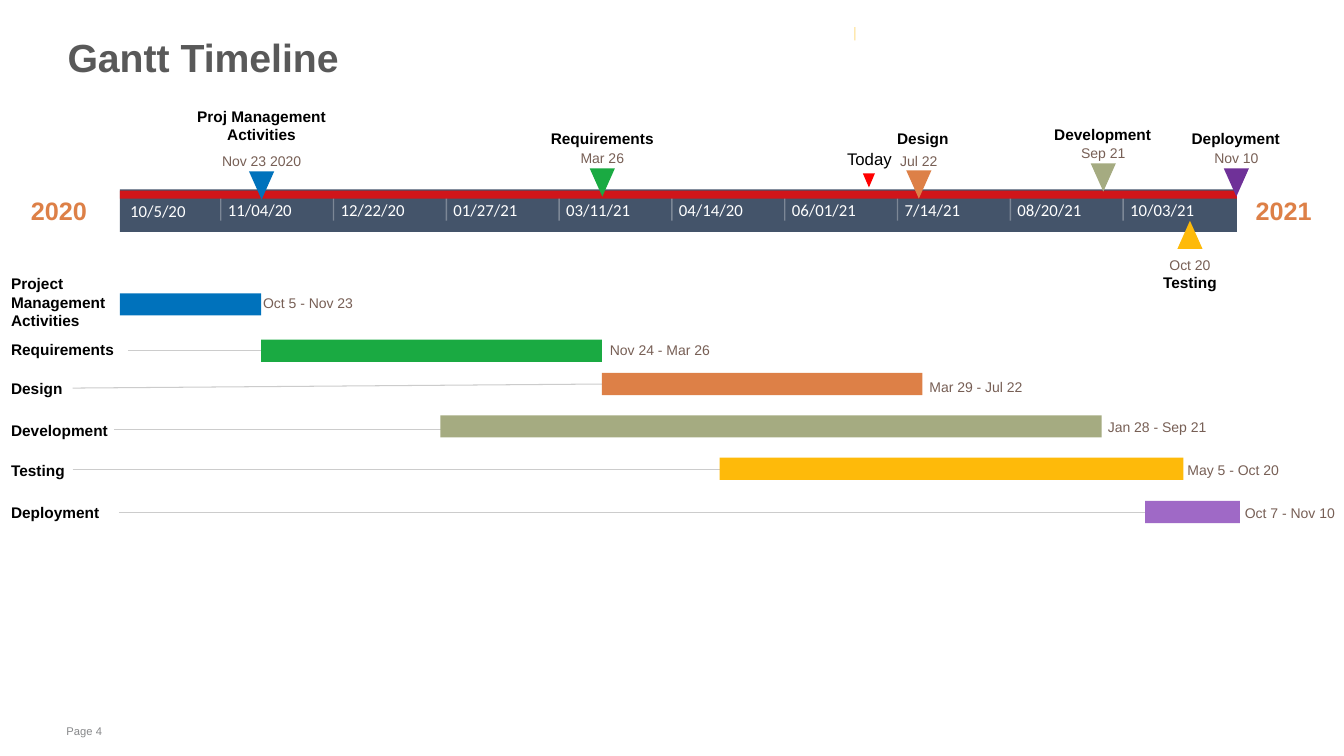
from lxml.etree import SubElement
from pptx import Presentation
from pptx.dml.color import RGBColor
from pptx.enum.shapes import MSO_CONNECTOR, MSO_SHAPE
from pptx.enum.text import MSO_ANCHOR, PP_ALIGN
from pptx.oxml.ns import qn
from pptx.util import Inches, Pt

CELL = Inches(0.1)  # the slide is a grid of square cells
WIDE, HIGH = 133.33, 75

BLACK = RGBColor(0x00, 0x00, 0x00)
WHITE = RGBColor(0xFF, 0xFF, 0xFF)
RED = RGBColor(0xFF, 0x00, 0x00)
SLATE = RGBColor(0x44, 0x54, 0x6A)
BLUE = RGBColor(0x00, 0x72, 0xBC)
GREEN = RGBColor(0x1A, 0xAA, 0x42)
ORANGE = RGBColor(0xDD, 0x80, 0x47)
SAGE = RGBColor(0xA5, 0xAB, 0x81)
YELLOW = RGBColor(0xFE, 0xBA, 0x0A)
PURPLE = RGBColor(0x6F, 0x31, 0x98)
LILAC = RGBColor(0x9F, 0x69, 0xC6)
BROWN = RGBColor(0x77, 0x5F, 0x55)
DARK = RGBColor(0x59, 0x59, 0x59)
GREY = RGBColor(0x87, 0x88, 0x8A)
PALE = RGBColor(0xCC, 0xCC, 0xCC)

LEFT, CENTER = PP_ALIGN.LEFT, PP_ALIGN.CENTER

deck = Presentation()
deck.slide_width, deck.slide_height = int(WIDE * CELL), HIGH * CELL
slide = deck.slides.add_slide(deck.slide_layouts[6])


def draw(kind, x, y, w, h, color):
    """Add a plain filled shape, placed in cells."""
    box = [int(n * CELL) for n in (x, y, w, h)]
    shape = slide.shapes.add_shape(kind, *box)
    shape.shadow.inherit = False
    shape.fill.solid()
    shape.fill.fore_color.rgb = color
    shape.line.fill.background()
    return shape


def write(words, x, y, w, h, size, color, bold=False, align=LEFT, font="Arial"):
    """Add one run of text in a box without margins, placed in cells."""
    box = [int(n * CELL) for n in (x, y, w, h)]
    frame = slide.shapes.add_textbox(*box).text_frame
    frame.word_wrap = True
    frame.vertical_anchor = MSO_ANCHOR.MIDDLE
    frame.margin_left = frame.margin_right = 0
    frame.margin_top = frame.margin_bottom = 0
    para = frame.paragraphs[0]
    para.alignment = align
    run = para.add_run()
    run.text = words
    run.font.name, run.font.size, run.font.bold = font, Pt(size), bold
    run.font.color.rgb = color
    return frame


# Title and page number
title = write("Gantt Timeline", 6.7, 4.4, 62.9, 4.6, 28, DARK, True)
title.vertical_anchor = MSO_ANCHOR.TOP
title.paragraphs[0].line_spacing = 0.75
write("Page 4", 6.6, 71.9, 106, 1.3, 8, GREY)

# Time band with the years at its ends
START, SPAN = 11.9, 110.8
draw(MSO_SHAPE.RECTANGLE, START, 18.8, SPAN, 4.2, SLATE)
done = draw(MSO_SHAPE.RECTANGLE, START, 18.9, SPAN, 0.8, RED)
tint = next(done.fill._xPr.iter(qn("a:srgbClr")))
SubElement(tint, qn("a:alpha")).set("val", "75000")
for year, x in (("2020", 2.8), ("2021", 124.3)):
    write(year, x, 19.4, 6.1, 3, 18, ORANGE, True, CENTER)

# Dates on the band
TICK, STEP = 21.9, 11.19
dates = ["11/04/20", "12/22/20", "01/27/21", "03/11/21", "04/14/20",
         "06/01/21", "7/14/21", "08/20/21", "10/03/21"]
write("10/5/20", 12.9, 19.9, 6.9, 2, 12, WHITE, font="Calibri")
ticks = [TICK + i * STEP for i in range(len(dates))]
for date, x in zip(dates, ticks):
    write(date, x + 0.7, 19.8, 7.5, 2, 12, WHITE, font="Calibri")

# Lines: x1, y1, x2, y2, colour, points, opacity in percent
lines = [
    (11.8, 50.8, 113.6, 50.8, PALE, 0.75, 100),
    (7.2, 46.6, 71.4, 46.6, PALE, 0.75, 100),
    (11.3, 42.6, 46.6, 42.6, PALE, 0.75, 100),
    (7.2, 38.5, 59.7, 38.1, PALE, 0.75, 100),
    (12.7, 34.8, 25.9, 34.8, PALE, 0.75, 100),
    (84.8, 2.7, 84.8, 4, YELLOW, 0.75, 50),
]
lines += [(x, 19.7, x, 21.9, WHITE, 1, 30) for x in ticks]
for *ends, color, points, alpha in lines:
    ends = [int(n * CELL) for n in ends]
    line = slide.shapes.add_connector(MSO_CONNECTOR.STRAIGHT, *ends)
    line.line.width = Pt(points)
    line.line.color.rgb = color
    props = line._element.spPr
    tint = next(props.iter(qn("a:srgbClr")))
    SubElement(tint, qn("a:alpha")).set("val", str(alpha * 1000))
    SubElement(props, qn("a:effectLst"))

# Today
mark = draw(MSO_SHAPE.ISOSCELES_TRIANGLE, 85.6, 17.2, 1.2, 1.4, RED)
mark.rotation = 180
write("Today", 83.8, 14.8, 4.9, 2, 12, BLACK, align=CENTER)

# Milestones: name, its centre and top, date and its top, marker centre and top
stones = [
    ("Proj Management Activities", 25.95, 11.5, "Nov 23 2020", 15.1, 25.95, 17, BLUE),
    ("Requirements", 59.75, 12.8, "Mar 26", 14.8, 59.75, 16.7, GREEN),
    ("Deployment", 122.6, 12.8, "Nov 10", 14.8, 122.65, 16.7, PURPLE),
    ("Design", 91.55, 12.8, "Jul 22", 15.1, 91.15, 16.9, ORANGE),
    ("Testing", 118.05, 27.1, "Oct 20", 25.4, 118.05, 21.9, YELLOW),
    ("Development", 109.4, 12.4, "Sep 21", 14.3, 109.45, 16.2, SAGE),
]
for name, mid, top, date, low, x, y, color in stones:
    write(name, mid - 7, top, 14, 1.9, 11, BLACK, True, CENTER)
    write(date, x - 4.1, low, 8.2, 1.7, 10, BROWN, align=CENTER)
    mark = draw(MSO_SHAPE.ISOSCELES_TRIANGLE, x - 1.25, y, 2.5, 2.8, color)
    mark.rotation = 180 if top < y else 0

# Tasks: name and its top, bar left, top and width, dates and their place
tasks = [
    ("Project Management Activities", 29, 11.9, 29.1, 14, BLUE,
     "Oct 5 - Nov 23", 26.1, 29.2),
    ("Requirements", 33.7, 25.9, 33.7, 33.8, GREEN,
     "Nov 24 - Mar 26", 60.5, 33.9),
    ("Design", 37.6, 59.7, 37, 31.8, ORANGE, "Mar 29 - Jul 22", 92.2, 37.5),
    ("Development", 41.7, 43.7, 41.2, 65.6, SAGE,
     "Jan 28 - Sep 21", 109.9, 41.5),
    ("Testing", 45.7, 71.4, 45.4, 46, YELLOW, "May 5 - Oct 20", 117.8, 45.8),
    ("Deployment", 49.9, 113.6, 49.7, 9.4, LILAC, "Oct 7 - Nov 10", 123.5, 50),
]
for name, top, x, y, w, color, dates, side, low in tasks:
    draw(MSO_SHAPE.RECTANGLE, x, y, w, 2.2, color)
    write(dates, side, low, 10.1, 1.7, 10, BROWN)
    write(name, 1.1, top, 11, 1.9, 11, BLACK, True)

deck.save("out.pptx")
